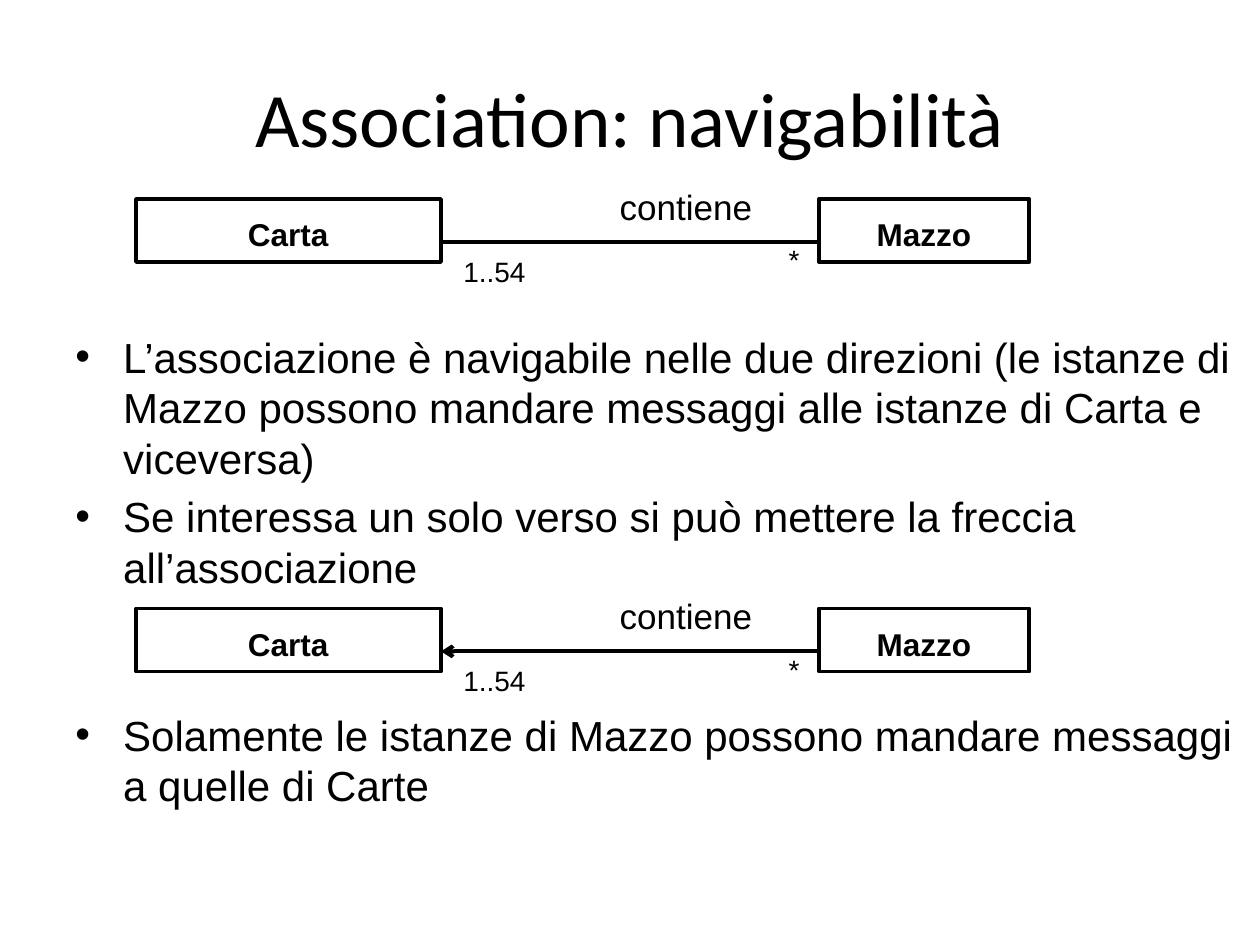
from dataclasses import dataclass

from lxml import etree
from pptx import Presentation
from pptx.dml.color import RGBColor
from pptx.enum import shapes, text
from pptx.oxml import ns
from pptx.util import Inches, Pt


@dataclass(frozen=True)
class Theme:
    ink: RGBColor = RGBColor(0, 0, 0)
    title_font: str = "Calibri"
    body_font: str = "Arial"
    title: int = 44
    body: int = 24
    association: int = 20
    class_name: int = 18
    multiplicity: int = 16
    line: float = 2.25


THEME = Theme()
TITLE = "Association: navigabilità"

# Tops of the bullet blocks and their paragraphs
BULLETS = [
    (2.58, ["L’associazione è navigabile nelle due direzioni (le istanze di Mazzo "
            "possono mandare messaggi alle istanze di Carta e viceversa)",
            "Se interessa un solo verso si può mettere la freccia all’associazione"]),
    (5.58, ["Solamente le istanze di Mazzo possono mandare messaggi a quelle di Carte"]),
]

# Tops of the class boxes, and whether the association points at Carta
DIAGRAMS = [(1.58, False), (4.83, True)]

# Name, box left, box width, name width
CLASSES = [("Carta", 1.08, 2.42, 0.84), ("Mazzo", 6.5, 1.67, 0.95)]
CLASS_HEIGHT = 0.5
NAME_OFFSET = 0.08
LINE_OFFSET = 0.34

# Text, left, offset from the class box top, height, size
LABELS = [
    ("contiene", 4.82, -0.16, 0.43, THEME.association),
    ("*", 6.16, 0.3, 0.37, THEME.multiplicity),
    ("1..54", 3.58, 0.39, 0.37, THEME.multiplicity),
]
LABEL_WIDTH = 1.25


def add_run(paragraph, words, size, font=THEME.body_font, bold=False):
    run = paragraph.add_run()
    run.text = words
    run.font.name = font
    run.font.size = Pt(size)
    run.font.bold = bold
    run.font.color.rgb = THEME.ink


def add_label(group, words, box, size, bold=False, wrap=True):
    label = group.shapes.add_textbox(*map(Inches, box))
    label.text_frame.word_wrap = wrap
    label.text_frame.auto_size = text.MSO_AUTO_SIZE.SHAPE_TO_FIT_TEXT
    add_run(label.text_frame.paragraphs[0], words, size, bold=bold)


def style_line(shape):
    shape.line.color.rgb = THEME.ink
    shape.line.width = Pt(THEME.line)


def add_association(group, top, directed):
    (_, left, width, _), (_, right, _, _) = CLASSES
    y = Inches(top + LINE_OFFSET)
    connector = group.shapes.add_connector(
        shapes.MSO_CONNECTOR.STRAIGHT, Inches(left + width), y, Inches(right), y)
    style_line(connector)
    if directed:
        etree.SubElement(connector.line._get_or_add_ln(), ns.qn("a:headEnd"), type="arrow")
    etree.SubElement(connector._element.spPr, ns.qn("a:effectLst"))


def add_diagram(slide, top, directed):
    group = slide.shapes.add_group_shape()
    for name, left, width, name_width in CLASSES:
        box = group.shapes.add_shape(
            shapes.MSO_SHAPE.RECTANGLE,
            *map(Inches, (left, top, width, CLASS_HEIGHT)))
        box.shadow.inherit = False
        box.fill.background()
        style_line(box)
        name_left = left + (width - name_width) / 2
        add_label(group, name, (name_left, top + NAME_OFFSET, name_width, 0.4),
                  THEME.class_name, bold=True, wrap=False)
    add_association(group, top, directed)
    for words, left, offset, height, size in LABELS:
        add_label(group, words, (left, top + offset, LABEL_WIDTH, height), size)


def add_bullets(slide, top, items):
    frame = slide.shapes.add_textbox(*map(Inches, (0.5, top, 9.5, 1.67))).text_frame
    frame.word_wrap = True
    for index, item in enumerate(items):
        paragraph = frame.add_paragraph() if index else frame.paragraphs[0]
        properties = paragraph._p.get_or_add_pPr()
        properties.set("marL", str(Inches(0.38)))
        properties.set("indent", str(-Inches(0.38)))
        etree.SubElement(properties, ns.qn("a:buFont"), typeface=THEME.body_font)
        etree.SubElement(properties, ns.qn("a:buChar"), char="•")
        if index:
            paragraph.space_before = Pt(0.2 * THEME.body)
        add_run(paragraph, item, THEME.body)


def main():
    presentation = Presentation()
    presentation.slide_width, presentation.slide_height = Inches(10), Inches(7.5)
    slide = presentation.slides.add_slide(presentation.slide_layouts[5])

    title = slide.shapes.title
    title.left, title.top, title.width, title.height = map(Inches, (0.5, 0.3, 9, 1.25))
    title.text_frame.vertical_anchor = text.MSO_ANCHOR.MIDDLE
    heading = title.text_frame.paragraphs[0]
    heading.alignment = text.PP_ALIGN.CENTER
    add_run(heading, TITLE, THEME.title, THEME.title_font)

    for (diagram_top, directed), (bullets_top, items) in zip(DIAGRAMS, BULLETS):
        add_diagram(slide, diagram_top, directed)
        add_bullets(slide, bullets_top, items)
    presentation.save("out.pptx")


if __name__ == "__main__":
    main()
